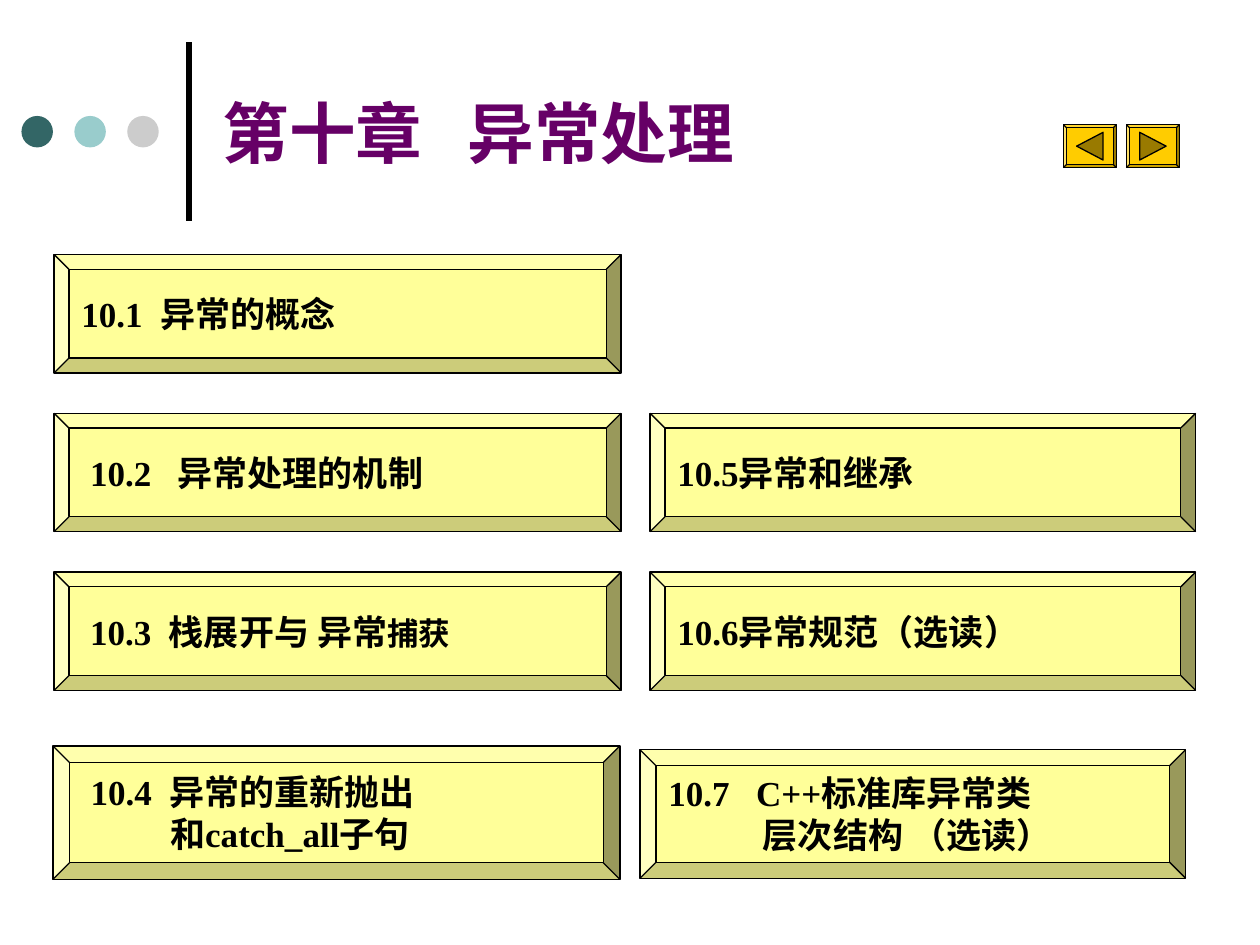
from lxml.etree import SubElement
from pptx import Presentation
from pptx.dml.color import RGBColor as RGB
from pptx.enum.shapes import MSO_CONNECTOR as LINK, MSO_SHAPE as SHAPE
from pptx.enum.text import MSO_ANCHOR as ANCHOR, PP_ALIGN as ALIGN
from pptx.oxml.ns import qn
from pptx.util import Inches, Pt

BLACK = RGB(0, 0, 0)
PURPLE = RGB(0x66, 0, 0x66)
CREAM = RGB(0xFF, 0xFF, 0x99)
GOLD = RGB(0xFF, 0xCC, 0)
BROWN = RGB(0x99, 0x7A, 0)
DOTS = [RGB(0x33, 0x66, 0x66), RGB(0x99, 0xCC, 0xCC), RGB(0xCC, 0xCC, 0xCC)]
SERIF, SANS, CJK = "Times New Roman", "Arial", "Noto Sans CJK SC"

# Content: a run is (text, font, size), a paragraph is (runs, left indent)
TITLE = [([("第十章   异常处理", CJK, 38)], 0)]
LEFT, RIGHT = (0.43, 4.5), (5.16, 4.33)
ROWS, HIGH = [2.02, 3.28, 4.54], 0.94
CARDS = [
    (*LEFT, ROWS[0], HIGH, [([("10.1  异常的概念", SERIF, 20)], 0)]),
    (*LEFT, ROWS[1], HIGH, [([(" 10.2   异常处理的机制", SERIF, 20)], 0)]),
    (*LEFT, ROWS[2], HIGH, [([(" 10.3  栈展开与 异常", SERIF, 20),
                              ("捕获", SANS, 18)], 0)]),
    (0.42, 4.5, 5.92, 1.06, [([(" 10.4  异常的重新抛出", SERIF, 20)], 0),
                             ([("和catch_all子句", SERIF, 20)], 0.7)]),
    (*RIGHT, ROWS[1], HIGH, [([("10.5", SERIF, 20), ("异常和继承", SANS, 20)], 0)]),
    (*RIGHT, ROWS[2], HIGH, [([("10.6异常规范（选读）", SERIF, 20)], 0)]),
    (5.08, 4.33, 5.95, 1.02, [([("10.7   C++标准库异常类", SERIF, 20)], 0),
                              ([("层次结构 ", SERIF, 20),
                                ("（选读）", "Calibri", 20)], 0.75)]),
]
BUTTONS = [(8.44, -1), (8.94, 1)]  # left edge, pointing direction

deck = Presentation()
deck.slide_width, deck.slide_height = Inches(10), Inches(7.5)
slide = deck.slides.add_slide(deck.slide_layouts[6])
shapes = slide.shapes


def paint(shape, fill, line=None):
    shape.shadow.inherit = False
    shape.fill.solid()
    shape.fill.fore_color.rgb = fill
    if line is None:
        shape.line.fill.background()
    else:
        shape.line.color.rgb = line
        shape.line.width = Pt(0.75)


def add(kind, x, y, w, h, fill, line=None):
    shape = shapes.add_shape(kind, Inches(x), Inches(y), Inches(w), Inches(h))
    paint(shape, fill, line)
    return shape


def write(shape, paras, color):
    frame = shape.text_frame
    frame.word_wrap = True
    frame.vertical_anchor = ANCHOR.MIDDLE
    for i, (runs, indent) in enumerate(paras):
        para = frame.add_paragraph() if i else frame.paragraphs[0]
        para.alignment = ALIGN.LEFT
        para.font.bold = True
        para.font.color.rgb = color
        props = para._p.get_or_add_pPr()
        props.set("marL", str(Inches(indent)))
        props.set("indent", "0")
        for text, face, size in runs:
            run = para.add_run()
            run.text = text
            font = run.font
            font.name, font.size, font.bold = face, Pt(size), True
            font.color.rgb = color


# Header rule and dots
rule = shapes.add_connector(LINK.STRAIGHT, Inches(1.5), Inches(1.75),
                            Inches(1.5), Inches(0.33))
rule.line.color.rgb = BLACK
rule.line.width = Pt(3)
SubElement(rule._element.spPr, qn("a:effectLst"))
for i, color in enumerate(DOTS):
    add(SHAPE.OVAL, 0.17 + 0.42 * i, 0.92, 0.25, 0.25, color)

# Title
title = shapes.add_textbox(Inches(1.67), Inches(0.21), Inches(7.67), Inches(1.67))
write(title, TITLE, PURPLE)

# Section cards
for x, w, y, h, paras in CARDS:
    write(add(SHAPE.BEVEL, x, y, w, h, CREAM, BLACK), paras, BLACK)

# Back and forward buttons
for x, way in BUTTONS:
    add(SHAPE.BEVEL, x, 0.99, 0.42, 0.34, GOLD, BLACK).adjustments[0] = 0.07
    mid, top, reach = x + 0.21, 1.16, 0.105 * way
    pen = shapes.build_freeform(Inches(mid + reach), Inches(top), scale=1.0)
    pen.add_line_segments([(Inches(mid - reach), Inches(top - 0.11)),
                           (Inches(mid - reach), Inches(top + 0.11))], close=True)
    paint(pen.convert_to_shape(), BROWN, BLACK)

deck.save("out.pptx")
